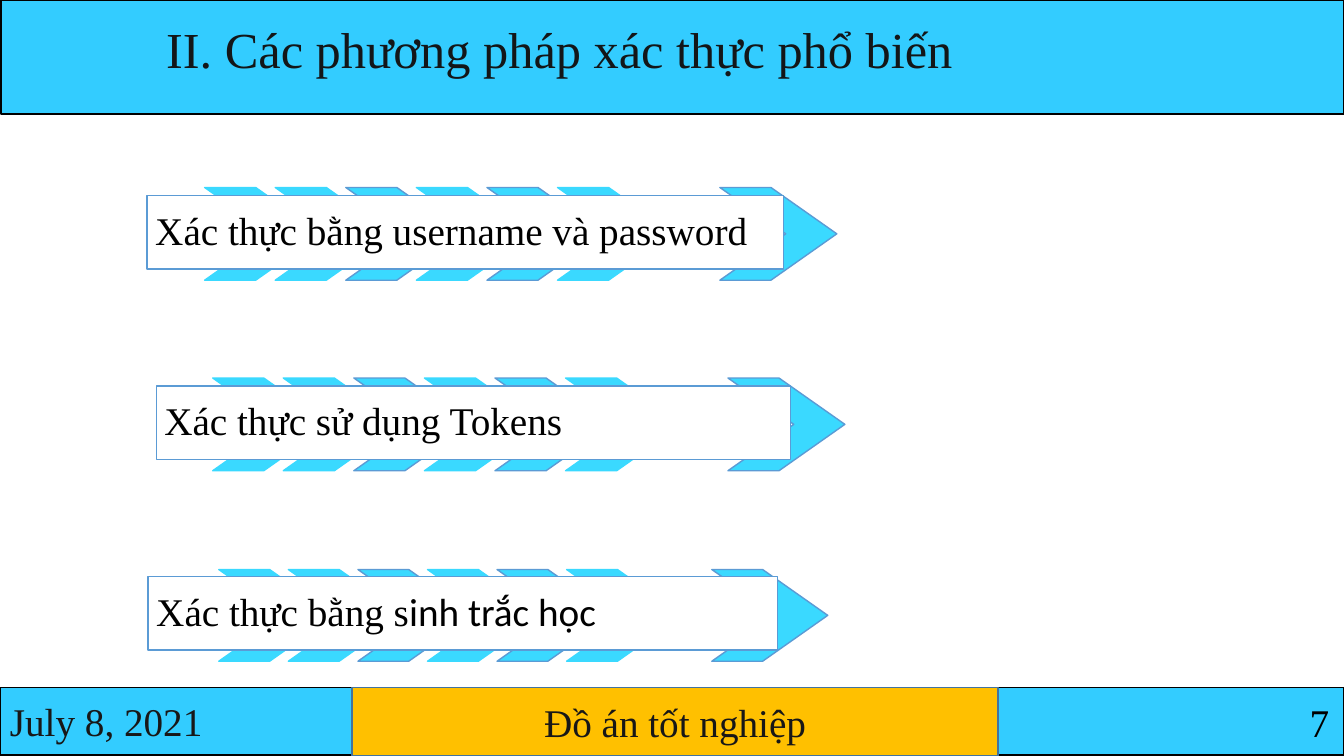
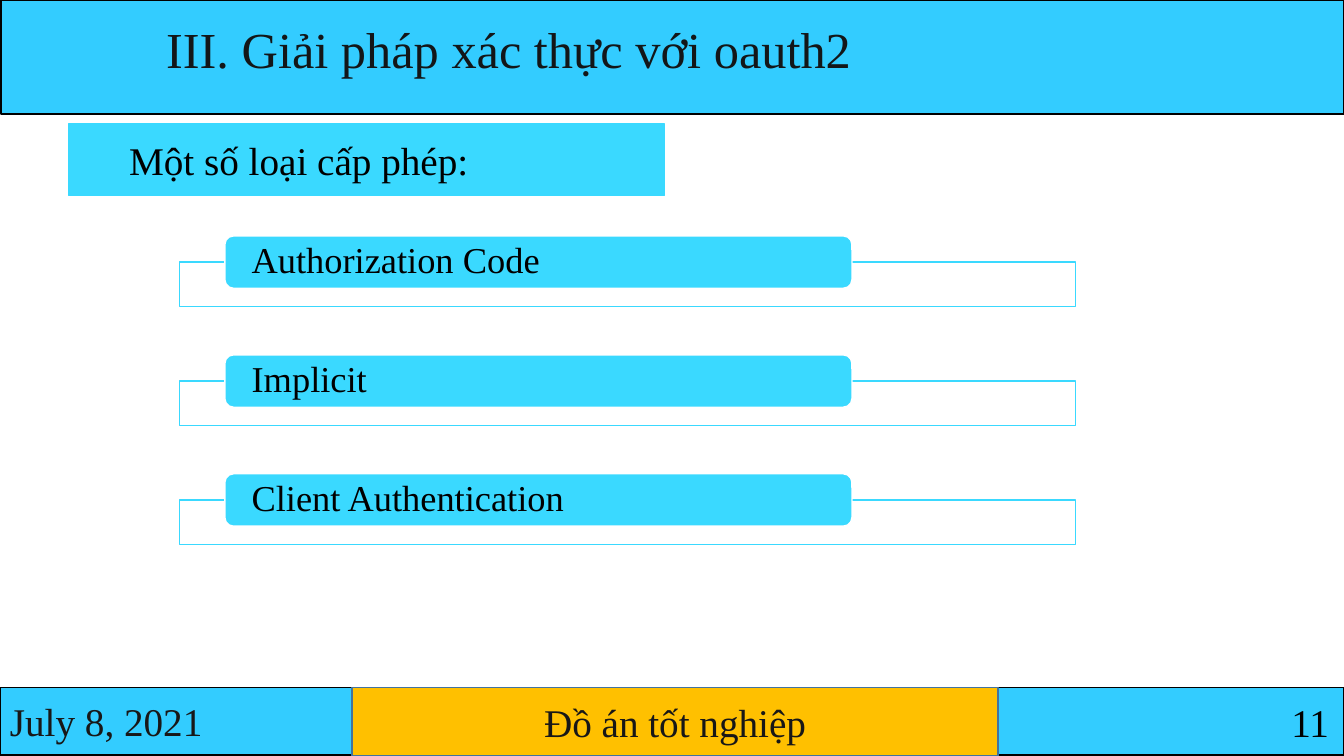
from typing import NamedTuple

from pptx import Presentation
from pptx.dml.color import RGBColor
from pptx.enum.shapes import MSO_SHAPE
from pptx.enum.text import MSO_ANCHOR, PP_ALIGN
from pptx.util import Inches, Pt

RECT = MSO_SHAPE.RECTANGLE
ROUND = MSO_SHAPE.ROUNDED_RECTANGLE
CHEVRON = MSO_SHAPE.CHEVRON
TOP, MIDDLE = MSO_ANCHOR.TOP, MSO_ANCHOR.MIDDLE
LEFT, CENTER, RIGHT = PP_ALIGN.LEFT, PP_ALIGN.CENTER, PP_ALIGN.RIGHT

COLORS = {
    "band": "33CCFF",
    "gold": "FFC000",
    "cyan": "3AD9FF",
    "blue": "5B9BD5",
    "navy": "43739E",
    "title": "131618",
    "footer": "181717",
    "black": "000000",
    "white": "FFFFFF",
}
SERIF, SANS = "Times New Roman", "Calibri"


class Box(NamedTuple):
    x: float
    y: float
    w: float
    h: float


class Words(NamedTuple):
    text: str
    font: str = SERIF


class Method(NamedTuple):
    label: Box
    words: list[Words]
    start: float
    step: float
    last: float
    top: float
    size: tuple[float, float]


METHODS = [
    Method(Box(1.46, 1.94, 6.31, 0.73), [Words("Xác thực bằng username và password")],
           2.03, 0.7, 7.14, 1.86, (1.16, 0.92)),
    Method(Box(1.55, 3.83, 6.29, 0.73), [Words("Xác thực sử dụng Tokens")],
           2.11, 0.7, 7.22, 3.75, (1.16, 0.92)),
    Method(Box(1.47, 5.72, 6.24, 0.73),
           [Words("Xác thực bằng s"), Words("inh trắc học", SANS)],
           2.17, 0.69, 7.06, 5.65, (1.15, 0.91)),
]
GRANTS = ["Authorization Code", "Implicit", "Client Authentication"]


def place(box: Box) -> list[int]:
    return [Inches(v) for v in box]


def add_box(slide, box: Box, fill: str, line: str, kind=RECT):
    shape = slide.shapes.add_shape(kind, *place(box))
    shape.shadow.inherit = False
    shape.fill.solid()
    shape.fill.fore_color.rgb = RGBColor.from_string(COLORS[fill])
    shape.line.color.rgb = RGBColor.from_string(COLORS[line])
    shape.line.width = Pt(1)
    return shape


def write(shape, words: list[Words], size: float, color: str = "black", align=LEFT,
          anchor=MIDDLE, left: float = 0.1, pad: float = 0.05, space: float = 1.0) -> None:
    """Fill a shape with one paragraph, one run for each piece of wording."""
    frame = shape.text_frame
    frame.word_wrap = True
    frame.vertical_anchor = anchor
    frame.margin_left = Inches(left)
    frame.margin_top = frame.margin_bottom = Inches(pad)
    para = frame.paragraphs[0]
    para.alignment = align
    para.line_spacing = space
    for piece in words:
        run = para.add_run()
        run.text = piece.text
        run.font.name = piece.font
        run.font.size = Pt(size)
        run.font.color.rgb = RGBColor.from_string(COLORS[color])


def add_text(slide, box: Box, text: str, size: float, color: str, align=LEFT) -> None:
    write(slide.shapes.add_textbox(*place(box)), [Words(text)], size, color, align, TOP)


def add_page(deck, title: str, number: int):
    """Add a slide with the shared title band and footer."""
    slide = deck.slides.add_slide(deck.slide_layouts[6])
    add_box(slide, Box(0.01, 0, 13.32, 1.13), "band", "black")
    date = add_box(slide, Box(0, 6.82, 13.33, 0.67), "band", "black")
    write(date, [Words("July 8, 2021")], 28, "footer")
    topic = add_box(slide, Box(3.49, 6.82, 6.41, 0.68), "gold", "navy")
    write(topic, [Words("Đồ án tốt nghiệp")], 28, "footer", CENTER)
    add_text(slide, Box(10.39, 6.88, 2.89, 0.57), str(number), 28, "black", RIGHT)
    add_text(slide, Box(1.55, 0.13, 8.03, 0.71), title, 36, "title")
    return slide


def add_method(slide, item: Method) -> None:
    """Draw a row of chevrons with a label over it."""
    spots = [item.start + i * item.step for i in range(6)] + [item.last]
    for i, x in enumerate(spots):
        line = "blue" if i in (2, 4, 6) else "cyan"
        arrow = add_box(slide, Box(x, item.top, *item.size), "cyan", line, CHEVRON)
        arrow.adjustments[0] = 0.71
    label = add_box(slide, item.label, "white", "blue")
    write(label, item.words, 28, left=0.08, pad=0.08, space=0.9)


def add_grant(slide, name: str, top: float) -> None:
    add_box(slide, Box(1.78, top + 0.26, 8.89, 0.44), "white", "cyan")
    label = add_box(slide, Box(2.23, top, 6.22, 0.52), "cyan", "white", ROUND)
    write(label, [Words(name)], 26, left=0.24, pad=0, space=0.9)


def main() -> None:
    deck = Presentation()
    deck.slide_width, deck.slide_height = Inches(13.33), Inches(7.5)

    slide = add_page(deck, "II. Các phương pháp xác thực phổ biến", 7)
    for item in METHODS:
        add_method(slide, item)

    slide = add_page(deck, "III. Giải pháp xác thực với oauth2", 11)
    head = add_box(slide, Box(0.68, 1.23, 5.91, 0.71), "cyan", "cyan")
    write(head, [Words("Một số loại cấp phép:")], 28, left=0.6)
    for i, name in enumerate(GRANTS):
        add_grant(slide, name, 2.34 + i * 1.18)

    deck.save("out.pptx")


if __name__ == "__main__":
    main()
